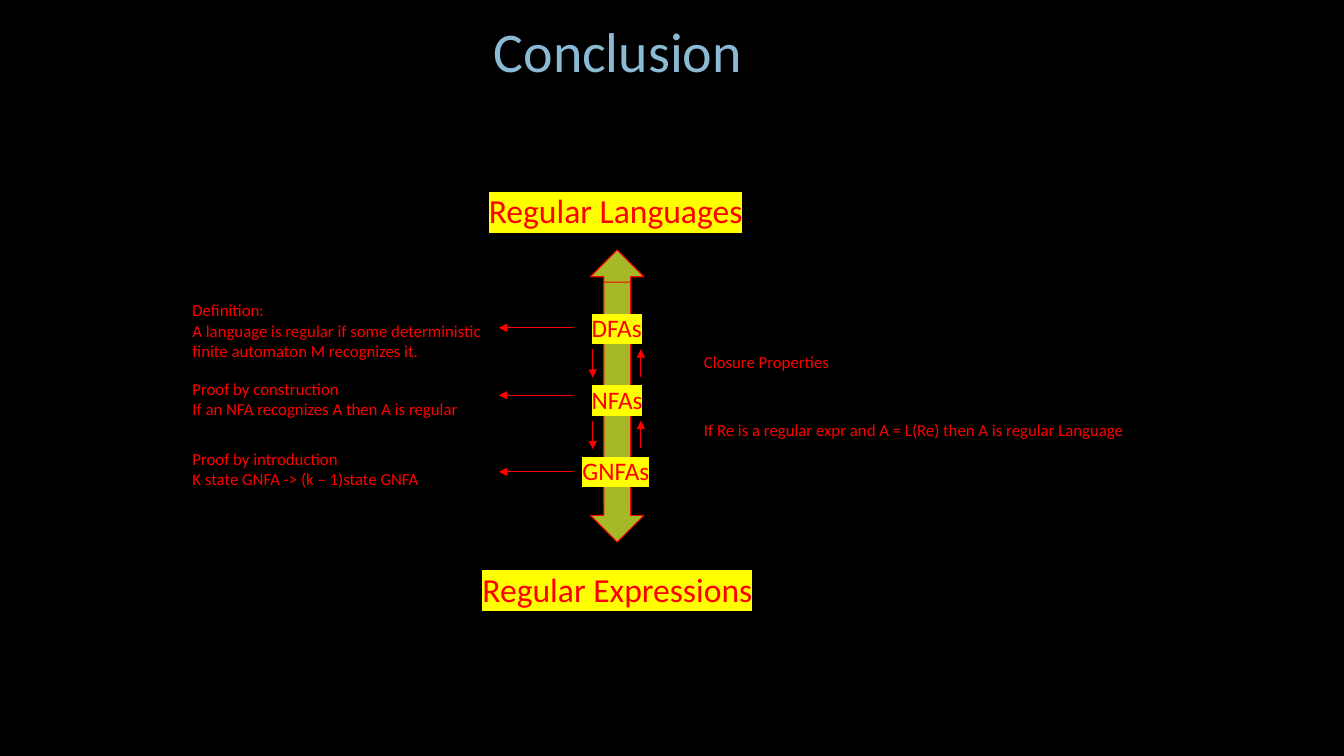
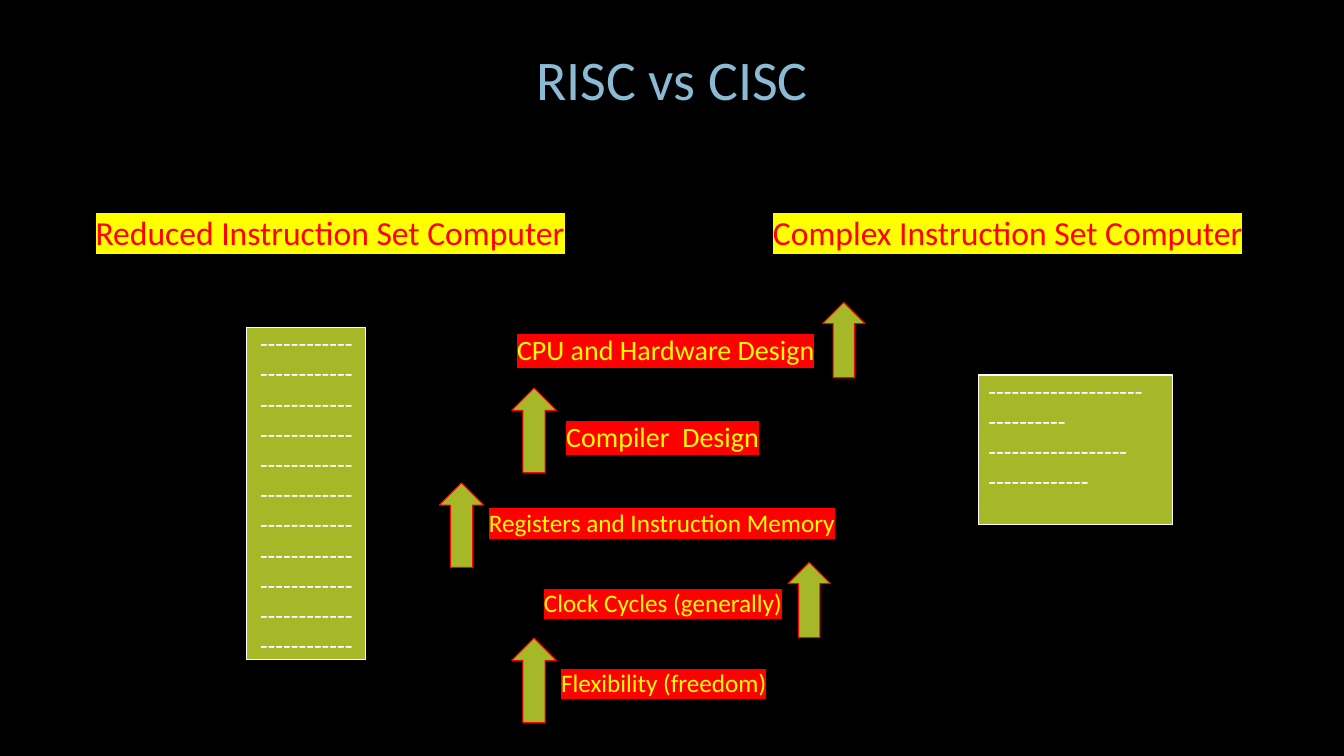
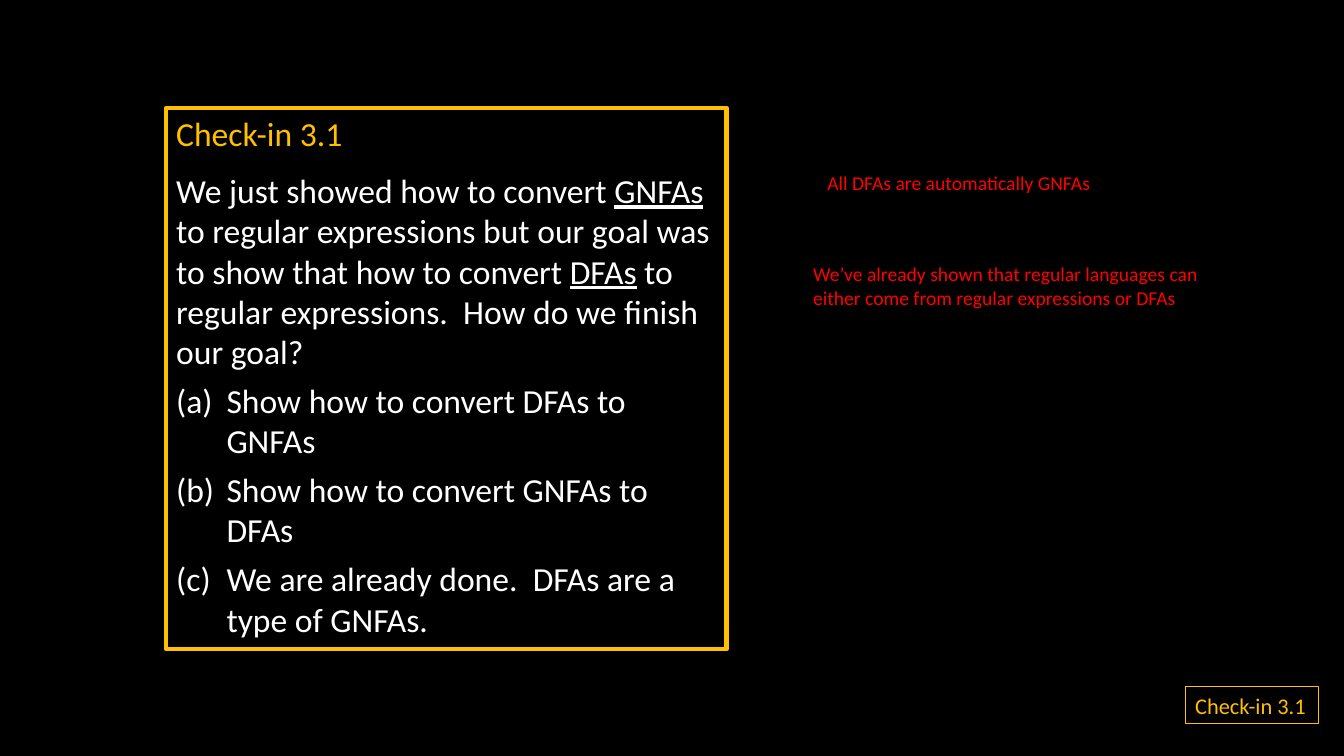
from lxml.etree import SubElement
from pptx import Presentation
from pptx.dml.color import RGBColor
from pptx.enum.shapes import MSO_CONNECTOR, MSO_SHAPE
from pptx.enum.text import MSO_ANCHOR, PP_ALIGN
from pptx.oxml.ns import qn
from pptx.util import Cm, Pt

BLACK, WHITE, RED, YELLOW = "000000", "FFFFFF", "FF0000", "FFFF00"
GREEN, GOLD, BLUE = "A6B727", "FFC000", "8ABAD4"
FONT = "Calibri"


def paint(target, color):
    """Set a solid colour on a fill, or a plain colour on a font colour."""
    target.solid()
    target.fore_color.rgb = RGBColor.from_string(color)


def add_run(para, words, size, color, mark=None, under=False):
    """Add one styled run, with an optional highlight."""
    run = para.add_run()
    run.text = words
    font = run.font
    font.name, font.size = FONT, Pt(size)
    if under:
        font.underline = True
    paint(font.fill, color)
    if mark:
        props = run._r.get_or_add_rPr()
        light = SubElement(props, qn("a:highlight"))
        SubElement(light, qn("a:srgbClr")).set("val", mark)
        props.find(qn("a:solidFill")).addnext(light)


def add_para(frame, first=False, align=PP_ALIGN.LEFT, before=0):
    """Return the first paragraph or a new one, aligned and spaced."""
    para = frame.paragraphs[0] if first else frame.add_paragraph()
    para.alignment = align
    para.space_before = Pt(before)
    return para


def write(frame, lines, size, color, mark=None, align=PP_ALIGN.LEFT):
    """Write plain lines, one paragraph each."""
    frame.word_wrap = True
    for i, line in enumerate(lines):
        add_run(add_para(frame, i == 0, align), line, size, color, mark)


def add_text(slide, box, lines, size, color, mark=None, align=PP_ALIGN.LEFT):
    """Place a text box."""
    frame = slide.shapes.add_textbox(*map(Cm, box)).text_frame
    write(frame, lines, size, color, mark, align)


def add_block(slide, kind, box, fill, line, width=0.75):
    """Place a preset shape with flat fill and outline."""
    shape = slide.shapes.add_shape(kind, *map(Cm, box))
    shape.shadow.inherit = False
    if fill:
        paint(shape.fill, fill)
    else:
        shape.fill.background()
    paint(shape.line.fill, line)
    shape.line.width = Pt(width)
    return shape


def add_arrow(slide, x1, y1, x2, y2):
    """Draw a thin red arrow."""
    line = slide.shapes.add_connector(
        MSO_CONNECTOR.STRAIGHT, *map(Cm, (x1, y1, x2, y2)))
    paint(line.line.fill, RED)
    line.line.width = Pt(0.75)
    SubElement(line.line._get_or_add_ln(), qn("a:tailEnd")).set("type", "triangle")
    SubElement(line._element.spPr, qn("a:effectLst"))


def add_title(slide, x, y, words):
    """Place a slide title."""
    add_text(slide, (x, y, 20.52, 1.96), [words], 40, BLUE, align=PP_ALIGN.CENTER)


def add_head(slide, x, y, wide, words):
    """Place a large highlighted heading."""
    add_text(slide, (x, y, wide, 1.27), [words], 24, RED, YELLOW)


def add_spine(slide, box):
    """Draw the double arrow with its ends, states and step arrows."""
    x, y, w, h = box
    add_block(slide, MSO_SHAPE.UP_ARROW, (x, y, w, 6.4), GREEN, RED)
    add_block(slide, MSO_SHAPE.DOWN_ARROW, (x, y + h - 6.55, w, 6.55), GREEN, RED)
    add_head(slide, x - 2.97, y + 7.9, 7.44, "Regular Expressions")
    add_head(slide, x - 2.81, y - 1.63, 6.96, "Regular Languages")
    step = 1.8
    states = ("DFAs", 2.29, 0.22), ("NFAs", 2.29, 0.22), ("GNFAs", 2.72, 0.45)
    for i, (name, wide, left) in enumerate(states):
        place = (x - left, y + 1.45 + i * step, wide, 1.02)
        add_text(slide, place, [name], 18, RED, YELLOW)
    for i in range(len(states) - 1):
        top = y + 2.5 + i * step
        add_arrow(slide, x + 0.06, top, x + 0.06, top + 0.72)
        add_arrow(slide, x + 1.27, top + 0.7, x + 1.27, top)


def add_proofs(slide, box):
    """List the proofs on the left, each with an arrow from the spine."""
    x, y, w, h = box
    proofs = (
        (0, 0.82, 8, ["Definition:", "A language is regular if some deterministic "
                      "finite automaton M recognizes it."]),
        (1.98, 2.52, 7.52, ["Proof by construction",
                            "If an NFA recognizes A then A is regular"]),
        (3.74, 4.45, 7.06, ["Proof by introduction",
                            "K state GNFA -> (k – 1)state GNFA"]),
    )
    for top, mid, wide, lines in proofs:
        add_text(slide, (x, y + top, wide, 1.27), lines, 12, RED)
        add_arrow(slide, x + w, y + mid, x + w - 1.86, y + mid)


def add_notes(slide, box, gap, size, notes):
    """Stack red notes at an even gap, each with its own shift and width."""
    x, y, w, h = box
    for i, (shift, words) in enumerate(notes):
        add_text(slide, (x + shift, y + i * gap, w - shift, h), [words], size, RED)


def add_traits(slide, box):
    """List the compared traits, each with an arrow toward one side."""
    x, y, w, h = box
    small, large = (1.07, 1.9), (1.12, 2.13)
    traits = (
        ("CPU and Hardware Design", 1.71, 0.64, 8.33, 20, 9.66, 0, small),
        ("Compiler  Design", 2.95, 2.82, 6.22, 20, 1.83, 2.16, large),
        ("Registers and Instruction Memory", 1, 5.03, 9.75, 18, 0, 4.55, large),
        ("Clock Cycles (generally)", 2.39, 7.06, 6.93, 18, 8.79, 6.55, small),
        ("Flexibility (freedom)", 2.82, 9.07, 5.94, 18, 1.83, 8.46, large),
    )
    for words, left, top, wide, size, across, down, dims in traits:
        add_text(slide, (x + left, y + top, wide, 1.02), [words], size, YELLOW, RED)
        add_block(slide, MSO_SHAPE.UP_ARROW, (x + across, y + down, *dims), GREEN, RED)


def add_code(slide, box, counts, align, anchor):
    """Draw a program as a green block of dashes."""
    frame = add_block(slide, MSO_SHAPE.RECTANGLE, box, GREEN, WHITE).text_frame
    frame.vertical_anchor = anchor
    if anchor == MSO_ANCHOR.TOP:
        frame.margin_top = 0
    write(frame, ["-" * n for n in counts], 18, WHITE, align=align)


def add_quiz(slide, box):
    """Draw the framed question with its lettered answers."""
    frame = add_block(slide, MSO_SHAPE.RECTANGLE, box, BLACK, GOLD, 3).text_frame
    frame.vertical_anchor = MSO_ANCHOR.TOP
    write(frame, ["Check-in 3.1"], 24, GOLD)
    para = add_para(frame, before=12)
    for words, under in (
        ("We just showed how to convert ", False),
        ("GNFAs", True),
        (" to regular expressions but our goal was to show that how to convert ", False),
        ("DFAs", True),
        (" to ", False),
    ):
        add_run(para, words, 24, WHITE, under=under)
    para.add_line_break()
    add_run(para, "regular expressions.  How do we finish our goal?", 24, WHITE)
    for words in (
        "Show how to convert DFAs to GNFAs",
        "Show how to convert GNFAs to DFAs",
        "We are already done.  DFAs are a type of GNFAs.",
    ):
        para = add_para(frame, before=6)
        props = para._p.get_or_add_pPr()
        props.set("marL", str(Cm(1.27)))
        props.set("indent", str(-Cm(1.27)))
        SubElement(props, qn("a:buFont")).set("typeface", "+mj-lt")
        SubElement(props, qn("a:buAutoNum")).set("type", "alphaLcParenBoth")
        add_run(para, words, 24, WHITE)


def add_badge(slide, box):
    """Draw the small outlined tag in the corner."""
    frame = add_block(slide, MSO_SHAPE.RECTANGLE, box, None, GOLD).text_frame
    write(frame, ["Check-in 3.1"], 16, GOLD)
    frame.word_wrap = False


def main():
    """Build the three slides."""
    deck = Presentation()
    deck.slide_width, deck.slide_height = Cm(33.87), Cm(19.05)
    paint(deck.slide_master.background.fill, BLACK)
    end, risc, quiz = (deck.slides.add_slide(deck.slide_layouts[6]) for _ in range(3))

    add_spine(end, (14.88, 6.3, 1.35, 7.36))
    add_title(end, 5.31, 0.28, "Conclusion")
    add_proofs(end, (4.6, 7.44, 9.83, 5))
    add_notes(end, (17.49, 8.74, 11.23, 0.76), 1.7, 12, (
        (0, "Closure Properties"),
        (0, "If Re is a regular expr and A = L(Re) then A is regular Language")))

    add_title(risc, 6.68, 0.99, "RISC vs CISC")
    add_head(risc, 2.16, 5.21, 12.47, "Reduced Instruction Set Computer")
    add_head(risc, 19.23, 5.21, 12.7, "Complex Instruction Set Computer")
    add_code(risc, (24.66, 9.45, 4.9, 3.78), (20, 10, 18, 13),
             PP_ALIGN.LEFT, MSO_ANCHOR.TOP)
    add_code(risc, (6.22, 8.26, 3, 8.36), (12, 120),
             PP_ALIGN.CENTER, MSO_ANCHOR.MIDDLE)
    add_traits(risc, (11.07, 7.62, 10.73, 10.59))

    add_quiz(quiz, (4.19, 2.72, 14.12, 13.64))
    add_badge(quiz, (29.87, 17.3, 3.35, 0.94))
    add_notes(quiz, (20.24, 4.19, 10.36, 1.45), 2.29, 14, (
        (0.36, "All DFAs are automatically GNFAs"),
        (0, "We’ve already shown that regular languages can either come "
            "from regular expressions or DFAs")))
    deck.save("out.pptx")


if __name__ == "__main__":
    main()
